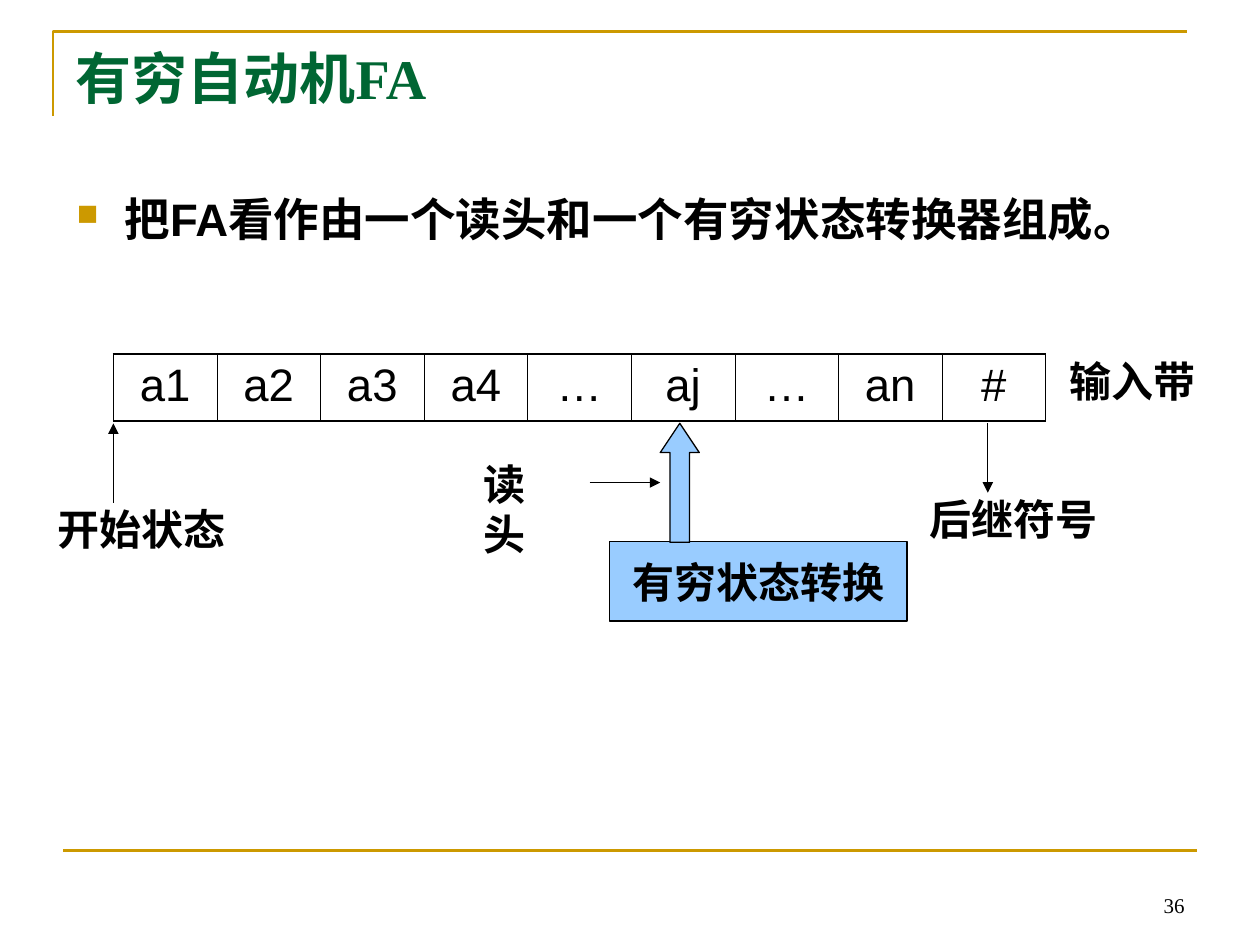
from lxml.etree import SubElement
from pptx import Presentation
from pptx.dml.color import RGBColor
from pptx.enum.shapes import MSO_CONNECTOR, MSO_SHAPE
from pptx.enum.text import MSO_ANCHOR as Anchor, MSO_AUTO_SIZE as AutoSize, PP_ALIGN as Align
from pptx.oxml.ns import qn
from pptx.util import Inches, Pt

BLACK = RGBColor(0x00, 0x00, 0x00)
GOLD = RGBColor(0xCC, 0x99, 0x00)
GREEN = RGBColor(0x00, 0x66, 0x33)
SKY = RGBColor(0x99, 0xCC, 0xFF)
SERIF, SANS = "Times New Roman", "Arial"
COLUMNS, ROWS = 100, 75


class TapeSlide:
    def __init__(self, deck):
        self.col = deck.slide_width // COLUMNS
        self.row = deck.slide_height // ROWS
        self.slide = deck.slides.add_slide(deck.slide_layouts[6])
        self.shapes = self.slide.shapes

    def spot(self, x, y):
        return round(x * self.col), round(y * self.row)

    def area(self, x, y, width, height):
        return *self.spot(x, y), *self.spot(width, height)

    def fill_text(self, frame, text, size, font=SERIF, color=BLACK, bold=True, align=Align.LEFT):
        frame.text = text
        paragraph = frame.paragraphs[0]
        paragraph.alignment = align
        style = paragraph.runs[0].font
        style.name, style.size, style.bold = font, Pt(size), bold
        style.color.rgb = color
        return paragraph

    def text(self, area, text, size, anchor=Anchor.TOP, **style):
        frame = self.shapes.add_textbox(*self.area(*area)).text_frame
        frame.word_wrap = True
        frame.vertical_anchor = anchor
        return self.fill_text(frame, text, size, **style)

    def bullet(self, area, text, size, indent):
        paragraph = self.text(area, text, size, font=SANS)
        props = paragraph._p.get_or_add_pPr()
        props.set("marL", str(Inches(indent)))
        props.set("indent", str(-Inches(indent)))
        SubElement(SubElement(props, qn("a:buClr")), qn("a:srgbClr"), val=str(GOLD))
        SubElement(props, qn("a:buSzPct"), val="65000")
        SubElement(props, qn("a:buChar"), char="■")

    def label(self, area, text):
        frame = self.shapes.add_textbox(*self.area(*area)).text_frame
        frame.word_wrap = False
        frame.auto_size = AutoSize.SHAPE_TO_FIT_TEXT
        self.fill_text(frame, text, 24)

    def block(self, preset, area):
        shape = self.shapes.add_shape(preset, *self.area(*area))
        shape.shadow.inherit = False
        shape.fill.solid()
        shape.fill.fore_color.rgb = SKY
        shape.line.color.rgb = BLACK
        shape.line.width = Pt(0.75)
        return shape

    def line(self, start, end, color=BLACK, width=0.75, arrow=True):
        line = self.shapes.add_connector(
            MSO_CONNECTOR.STRAIGHT, *self.spot(*start), *self.spot(*end))
        line.line.color.rgb = color
        line.line.width = Pt(width)
        props = line._element.spPr
        if arrow:
            SubElement(props.find(qn("a:ln")), qn("a:tailEnd"), type="triangle")
        SubElement(props, qn("a:effectLst"))

    def corner(self, *points):
        first, *rest = [self.spot(*point) for point in points]
        builder = self.shapes.build_freeform(*first)
        builder.add_line_segments(rest, close=False)
        corner = builder.convert_to_shape()
        corner.shadow.inherit = False
        corner.fill.background()
        corner.line.color.rgb = GOLD
        corner.line.width = Pt(1.5)

    def border(self, cell, **widths):
        props = cell._tc.get_or_add_tcPr()
        for place, (side, width) in enumerate(widths.items()):
            edge = SubElement(props, qn(f"a:ln{side}"), w=str(Pt(width)))
            SubElement(SubElement(edge, qn("a:solidFill")), qn("a:srgbClr"), val=str(BLACK))
            props.insert(place, edge)

    def tape(self, area, symbols):
        table = self.shapes.add_table(1, len(symbols), *self.area(*area)).table
        table.first_row = table.horz_banding = False
        last = len(symbols) - 1
        for index, symbol in enumerate(symbols):
            cell = table.cell(0, index)
            cell.fill.background()
            self.fill_text(cell.text_frame, symbol, 26, font=SANS, bold=False, align=Align.CENTER)
            self.border(cell, L=1.08 if index == 0 else 0.45,
                        R=1.08 if index == last else 0.45, T=1.08, B=1.08)


def main():
    deck = Presentation()
    deck.slide_width, deck.slide_height = Inches(10), Inches(7.5)
    page = TapeSlide(deck)

    page.corner((4.2, 9.2), (4.2, 2.5), (94.2, 2.5))
    page.line((5, 67.5), (95, 67.5), GOLD, 1.5, arrow=False)
    page.text((5, 3, 90, 9.3), "有穷自动机FA", 32, color=GREEN)
    page.tape((9, 28.1, 74, 5.3), ["a1", "a2", "a3", "a4", "…", "aj", "…", "an", "#"])
    page.bullet((5.1, 14.7, 89, 7.9), "把FA看作由一个读头和一个有穷状态转换器组成。", 26, 0.38)

    page.line((9, 39.9), (9, 33.6))
    page.line((78.4, 33.6), (78.4, 39.1))
    page.line((46.8, 38.3), (52.4, 38.3))

    converter = page.block(MSO_SHAPE.RECTANGLE, (48.4, 43, 23.6, 6.3)).text_frame
    converter.word_wrap = False
    converter.vertical_anchor = Anchor.MIDDLE
    page.fill_text(converter, "有穷状态转换", 24, align=Align.CENTER)
    read_head = page.block(MSO_SHAPE.UP_ARROW, (52.4, 33.6, 3.1, 9.45))
    read_head.adjustments[1] = 0.75

    page.label((3.6, 39.5, 15.3, 5), "开始状态")
    page.label((72.8, 38.7, 15.3, 5), "后继符号")
    page.label((37.4, 35.9, 8.6, 5), "读头")
    page.label((83.9, 27.7, 12, 5), "输入带")
    page.text((71.7, 68.3, 23.3, 5), "36", 12, anchor=Anchor.BOTTOM, bold=False, align=Align.RIGHT)

    deck.save("out.pptx")


if __name__ == "__main__":
    main()
